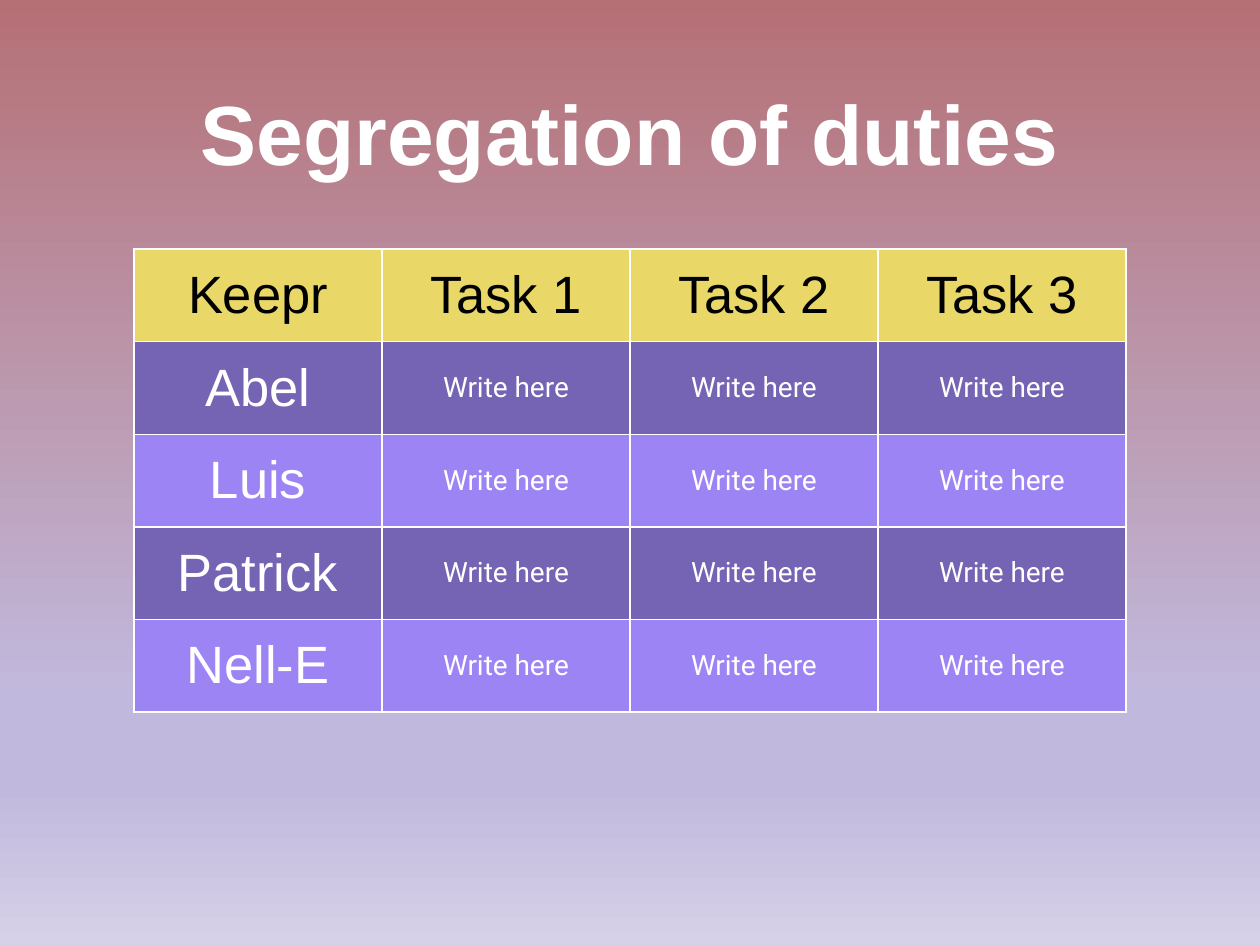
import dataclasses
import typing

import lxml.etree
import pptx
import pptx.dml.color
import pptx.enum.text
import pptx.oxml.ns
import pptx.util

Pt = pptx.util.Pt


@dataclasses.dataclass(frozen=True)
class Theme:
    backdrop: tuple = ((0, "B57075"), (74, "C1B9DD"), (83, "C1B9DD"), (100, "D6D0E8"))
    header: str = "E9D868"
    bands: tuple = ("7564B3", "9D84F5")
    dark: str = "000000"
    light: str = "FFFFFF"
    heading_font: str = "Arial"
    body_font: str = "Roboto"
    title_size: float = 48
    label_size: float = 30
    body_size: float = 16


@dataclasses.dataclass(frozen=True)
class Row:
    texts: list[str]
    fill: str
    color: str


THEME = Theme()
INSET = Pt(7.2)


def write(tf: typing.Any, text: str, *, size: float, font: str, color: str,
          bold: bool = False) -> None:
    """Put one centred, formatted line in a text frame."""
    p = tf.paragraphs[0]
    p.alignment = pptx.enum.text.PP_ALIGN.CENTER
    r = p.add_run()
    r.text = text
    r.font.size = Pt(size)
    r.font.name = font
    r.font.bold = bold
    r.font.color.rgb = pptx.dml.color.RGBColor.from_string(color)


def paint_background(s: typing.Any) -> None:
    fill = s.background.fill
    fill.gradient()
    fill.gradient_angle = 270
    # The public interface offers two stops only, so rebuild the list
    qn = pptx.oxml.ns.qn
    stops = next(s.element.iter(qn("a:gsLst")))
    for stop in list(stops):
        stops.remove(stop)
    for percent, color in THEME.backdrop:
        stop = lxml.etree.SubElement(stops, qn("a:gs"), pos=str(percent * 1000))
        lxml.etree.SubElement(stop, qn("a:srgbClr"), val=color)


def add_title(s: typing.Any, text: str) -> None:
    sp = s.shapes.title
    sp.left, sp.top, sp.width, sp.height = Pt(24.5), Pt(34.5), Pt(671), Pt(60)
    tf = sp.text_frame
    tf.word_wrap = True
    tf.auto_size = pptx.enum.text.MSO_AUTO_SIZE.NONE
    tf.vertical_anchor = pptx.enum.text.MSO_ANCHOR.TOP
    tf.margin_left = tf.margin_right = tf.margin_bottom = INSET
    tf.margin_top = Pt(12)
    write(tf, text, size=THEME.title_size, font=THEME.heading_font,
          color=THEME.light, bold=True)


def add_duties_table(s: typing.Any, rows: list[Row]) -> None:
    columns = len(rows[0].texts)
    col_width, row_height = Pt(141.73), Pt(52.94)
    table = s.shapes.add_table(len(rows), columns, Pt(76.6), Pt(142.3),
                               col_width * columns, row_height * len(rows)).table
    table.first_row = table.horz_banding = False
    for column in table.columns:
        column.width = col_width
    for i, row in enumerate(rows):
        table.rows[i].height = row_height
        for j, text in enumerate(row.texts):
            cell = table.cell(i, j)
            cell.fill.solid()
            cell.fill.fore_color.rgb = pptx.dml.color.RGBColor.from_string(row.fill)
            cell.vertical_anchor = pptx.enum.text.MSO_ANCHOR.MIDDLE
            cell.margin_left = cell.margin_right = INSET
            cell.margin_top = cell.margin_bottom = INSET
            label = i == 0 or j == 0
            write(cell.text_frame, text, color=row.color,
                  size=THEME.label_size if label else THEME.body_size,
                  font=THEME.heading_font if label else THEME.body_font)


def main() -> None:
    prs = pptx.Presentation()
    prs.slide_width, prs.slide_height = Pt(720), Pt(540)
    s = prs.slides.add_slide(prs.slide_layouts[5])
    paint_background(s)
    add_title(s, "Segregation of duties")

    # Header row, then one banded row per person
    tasks = ["Task 1", "Task 2", "Task 3"]
    people = ["Abel", "Luis", "Patrick", "Nell-E"]
    rows = [Row(["Keepr", *tasks], THEME.header, THEME.dark)]
    for i, person in enumerate(people):
        rows.append(Row([person] + ["Write here"] * len(tasks),
                        THEME.bands[i % 2], THEME.light))
    add_duties_table(s, rows)
    prs.save("out.pptx")


if __name__ == "__main__":
    main()
